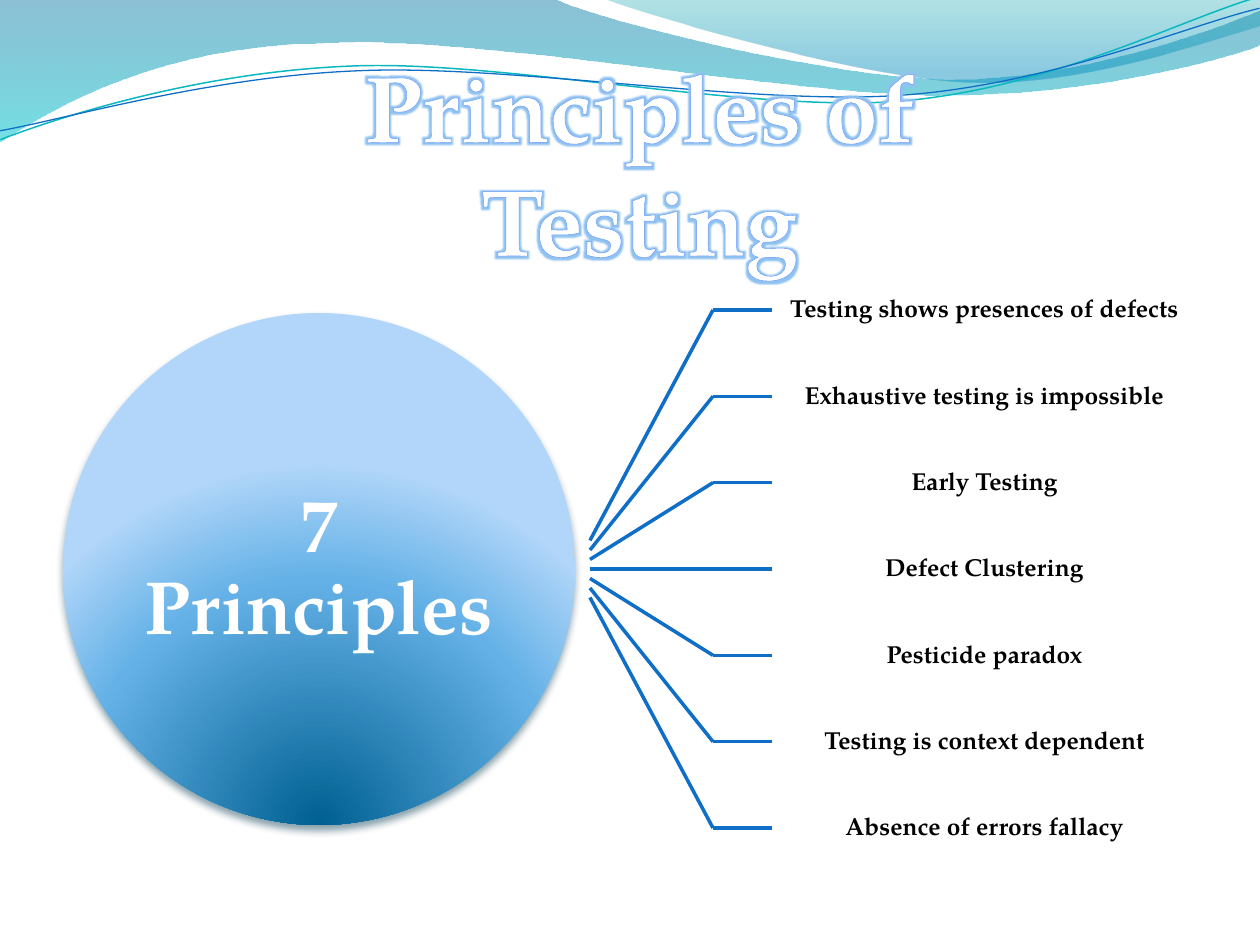
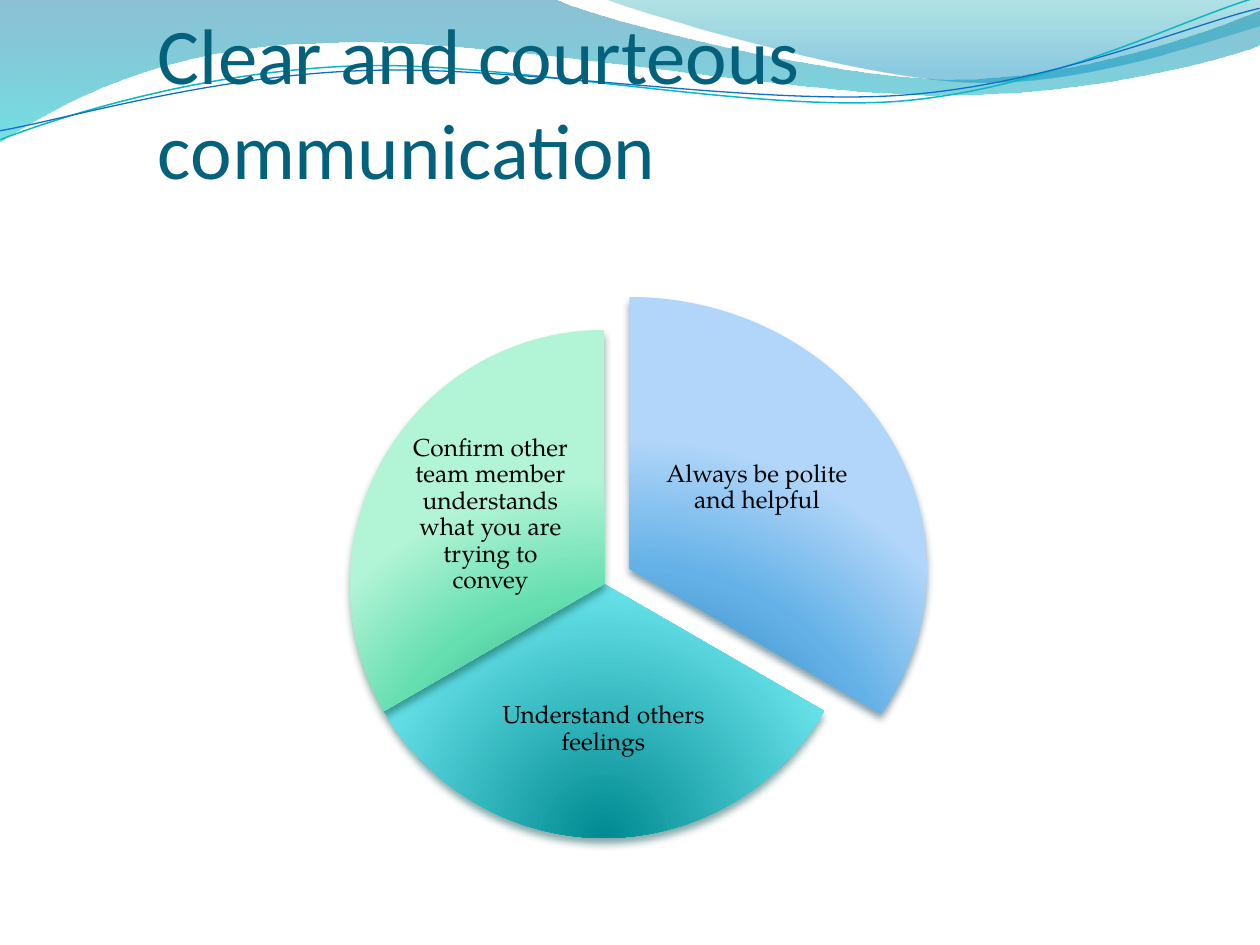
import lxml.etree
import pptx
import pptx.dml.color
import pptx.enum.shapes
import pptx.enum.text
import pptx.oxml
import pptx.oxml.ns
import pptx.util

RGB = pptx.dml.color.RGBColor
KIND = pptx.enum.shapes.MSO_SHAPE
ALIGN = pptx.enum.text.PP_ALIGN
ANCHOR = pptx.enum.text.MSO_ANCHOR
NS = pptx.oxml.ns.nsdecls("a")

PX = 914400 / 126
WIDE, HIGH = 1260, 945
SERIF, SANS = "TeX Gyre Pagella", "Calibri"

WHITE = RGB(0xFF, 0xFF, 0xFF)
BLACK = RGB(0x00, 0x00, 0x00)
BLUE = RGB(0x0F, 0x6F, 0xC6)
TEAL = RGB(0x0A, 0xB8, 0xBF)
INK = RGB(0x04, 0x61, 0x7B)
EDGE = RGB(0x6A, 0x98, 0xF8)
HALO = RGB(0x8F, 0xC2, 0xF0)
SEA = (0, RGB(0x00, 0x74, 0xA1), 45), (100, RGB(0x00, 0xC6, 0xCF), 55)
MIST = (0, RGB(0x00, 0xA1, 0xA9), 30), (80, RGB(0x00, 0x8B, 0xBF), 45)
SKY = RGB(0x00, 0x60, 0x91), RGB(0x64, 0xB1, 0xE7), RGB(0xB1, 0xD6, 0xF9)
CYAN = RGB(0x00, 0x8A, 0x91), RGB(0x64, 0xDF, 0xE7), RGB(0xB1, 0xF3, 0xF9)
MINT = RGB(0x00, 0x8C, 0x60), RGB(0x65, 0xDE, 0xB0), RGB(0xB2, 0xF4, 0xD6)
SKY_DIM = RGB(0x00, 0x37, 0x4C)
CYAN_DIM = RGB(0x02, 0x4B, 0x4E)
MINT_DIM = RGB(0x04, 0x4A, 0x37)

BANDS = [
    (SEA, (0, 0), [(554, -1), (600, 21, 837, 79, 955, 79),
                   (1075, 79, 1207, 33, 1260, 11), (1261, 45),
                   (1239, 55, 1096, 96, 940, 95),
                   (784, 95, 481, 35, 324, 43),
                   (163, 45, 58, 105, -1, 142)]),
    (MIST, (604, -1), [(641, 14, 859, 78, 969, 82),
                       (1079, 87, 1211, 40, 1260, 26), (1260, 0)]),
]
WAVES = [
    (TEAL, 0.85, (-2, 110), [(58, 90, 199, 52, 350, 53),
                             (498, 53, 745, 118, 896, 114),
                             (1049, 109, 1184, 45, 1260, 27)]),
    (BLUE, 0.75, (-2, 101), [(57, 94, 207, 57, 357, 58),
                             (509, 58, 750, 112, 902, 108),
                             (1052, 104, 1188, 52, 1262, 38)]),
]
TILT = 357.3
RULES = ["Testing shows presences of defects", "Exhaustive testing is impossible",
         "Early Testing", "Defect Clustering", "Pesticide paradox",
         "Testing is context dependent", "Absence of errors fallacy"]
SLICES = [
    ((0, 0, 595, 543), (162, 18), SKY, SKY_DIM,
     (324, 100, 202, 181), "Always be polite and helpful"),
    ((18, 33, 508, 508), (18, 90), CYAN, CYAN_DIM,
     (157, 353, 229, 158), "Understand others feelings"),
    ((18, 33, 508, 508), (90, 162), MINT, MINT_DIM,
     (72, 133, 173, 169),
     "Confirm other team member understands what you are trying to convey"),
]


def emu(*sizes):
    return [round(size * PX) for size in sizes]


def shift(box, left, top):
    return box[0] + left, box[1] + top, *box[2:]


def outline(slide, start, parts, close):
    form = slide.shapes.build_freeform(*start, scale=PX)
    for part in parts:
        form.add_line_segments(list(zip(part[::2], part[1::2])), close=False)
    if close:
        form.add_line_segments([], close=True)
    shape = form.convert_to_shape()
    shape.shadow.inherit = False
    steps = iter(shape.element.xpath(".//a:lnTo"))
    for part in parts:
        first = next(steps)
        if len(part) == 6:
            bend = pptx.oxml.parse_xml(f"<a:cubicBezTo {NS}/>")
            first.addprevious(bend)
            for step in (first, next(steps), next(steps)):
                bend.append(step[0])
                step.getparent().remove(step)
    return shape


def blend(shape, stops, way):
    marks = "".join(
        f'<a:gs pos="{place * 1000}"><a:srgbClr val="{tone}">'
        f'<a:alpha val="{alpha * 1000}"/></a:srgbClr></a:gs>'
        for place, tone, alpha in stops)
    shape.element.spPr.insert(2, pptx.oxml.parse_xml(
        f'<a:gradFill {NS} rotWithShape="1"><a:gsLst>{marks}</a:gsLst>{way}</a:gradFill>'))
    shape.line.fill.background()


def draw_bands(slide, master):
    shapes = []
    for stops, start, parts in BANDS:
        band = outline(slide, start, parts, True)
        blend(band, stops, '<a:lin ang="5400000" scaled="0"/>')
        shapes.append(band)
    for tone, width, start, parts in WAVES:
        wave = outline(slide, start, parts, False)
        wave.rotation = TILT
        wave.fill.background()
        wave.line.color.rgb = tone
        wave.line.width = pptx.util.Pt(width)
        shapes.append(wave)
    for place, shape in enumerate(shapes):
        shape.element.nvSpPr.cNvPr.id = 20 + place
        master.shapes.element.insert(2 + place, shape.element)


def set_title(slide, box, text, face, size, tone, align, anchor, pads):
    title = slide.shapes.title
    title.left, title.top, title.width, title.height = emu(*box)
    write(title.text_frame, text, face, size, tone, align, anchor, pads)
    return title


def write(frame, text, face, size, tone, align, anchor, pads, bold=False, lead=1.0):
    frame.text = text
    frame.word_wrap = True
    frame.auto_size = pptx.enum.text.MSO_AUTO_SIZE.NONE
    frame.vertical_anchor = anchor
    (frame.margin_left, frame.margin_top,
     frame.margin_right, frame.margin_bottom) = emu(*pads)
    para = frame.paragraphs[0]
    para.alignment = align
    para.line_spacing = lead
    para.font.name = face
    para.font.size = pptx.util.Pt(size)
    para.font.bold = bold
    para.font.color.rgb = tone


def label(slide, box, text, size, tone, pad, bold):
    area = slide.shapes.add_textbox(*emu(*box))
    write(area.text_frame, text, SERIF, size, tone, ALIGN.CENTER,
          ANCHOR.MIDDLE, [pad] * 4, bold, 0.9)
    return area


def dome(slide, kind, box, tones, shade):
    shape = slide.shapes.add_shape(kind, *emu(*box))
    stops = [(place, tone, 100) for place, tone in zip((0, 68, 100), tones)]
    blend(shape, stops, '<a:path path="circle"><a:fillToRect l="50000" t="130000" '
                        'r="50000" b="-30000"/></a:path>')
    shape.shadow.inherit = False
    shape.element.spPr.find(pptx.oxml.ns.qn("a:effectLst")).append(pptx.oxml.parse_xml(
        f'<a:outerShdw {NS} blurRad="57150" dist="38100" dir="5400000" rotWithShape="0">'
        f'<a:srgbClr val="{shade}"><a:alpha val="48000"/></a:srgbClr></a:outerShdw>'))
    return shape


def link(slide, *ends):
    line = slide.shapes.add_connector(
        pptx.enum.shapes.MSO_CONNECTOR.STRAIGHT, *emu(*ends))
    line.line.color.rgb = BLUE
    line.line.width = pptx.util.Pt(2)
    lxml.etree.SubElement(line.element.spPr, pptx.oxml.ns.qn("a:effectLst"))
    return line


def glow_title(title):
    run = title.text_frame.paragraphs[0].runs[0]
    run.font.color.rgb = WHITE
    look = title.element.xpath(".//a:rPr")[0]
    look.insert(0, pptx.oxml.parse_xml(
        f'<a:ln {NS} w="31550"><a:solidFill><a:srgbClr val="{EDGE}"/></a:solidFill></a:ln>'))
    look.append(pptx.oxml.parse_xml(
        f'<a:effectLst {NS}><a:glow rad="45500"><a:srgbClr val="{HALO}"/></a:glow></a:effectLst>'))


def draw_fan(slide, box):
    left, top, width, height = box
    mid = top + height / 2
    step = height / 6
    dome(slide, KIND.OVAL, (left, mid - 256, 512, 512), SKY, SKY_DIM)
    label(slide, (left + 75, mid - 181, 362, 362), "7 Principles", 43, WHITE, 0, True)
    for place, rule in enumerate(RULES, -3):
        level = mid + place * step
        area = label(slide, (left + 709, level - 43, width - 709, 86),
                     rule, 14, BLACK, 14, True)
        link(slide, left + 527, mid + place * 9.5, left + 650, level)
        stem = link(slide, left + 650, level, left + 709, level)
        stem.end_connect(area, 1)


def draw_pie(slide, left, top):
    for box, turns, tones, shade, area, text in SLICES:
        wedge = dome(slide, KIND.PIE, shift(box, left, top), tones, shade)
        wedge.adjustments[0], wedge.adjustments[1] = turns
        label(slide, shift(area, left, top), text, 14, BLACK, 2, False)


def main():
    deck = pptx.Presentation()
    deck.slide_width, deck.slide_height = emu(WIDE, HIGH)
    plain = deck.slide_layouts[5]

    first = deck.slides.add_slide(plain)
    draw_bands(first, deck.slide_master)
    title = set_title(first, (188, 42, 903, 127), "Principles of Testing", SERIF, 54,
                      WHITE, ALIGN.CENTER, ANCHOR.TOP, (13, 6, 13, 6))
    title.text_frame.paragraphs[0].font.bold = True
    glow_title(title)
    draw_fan(first, (63, 310, 1134, 518))

    second = deck.slides.add_slide(plain)
    set_title(second, (158, 37, 1074, 158), "Clear and courteous communication", SANS,
              45, INK, ALIGN.LEFT, ANCHOR.BOTTOM, (0, 6, 0, 0))
    draw_pie(second, 332, 297)
    deck.save("out.pptx")


if __name__ == "__main__":
    main()
